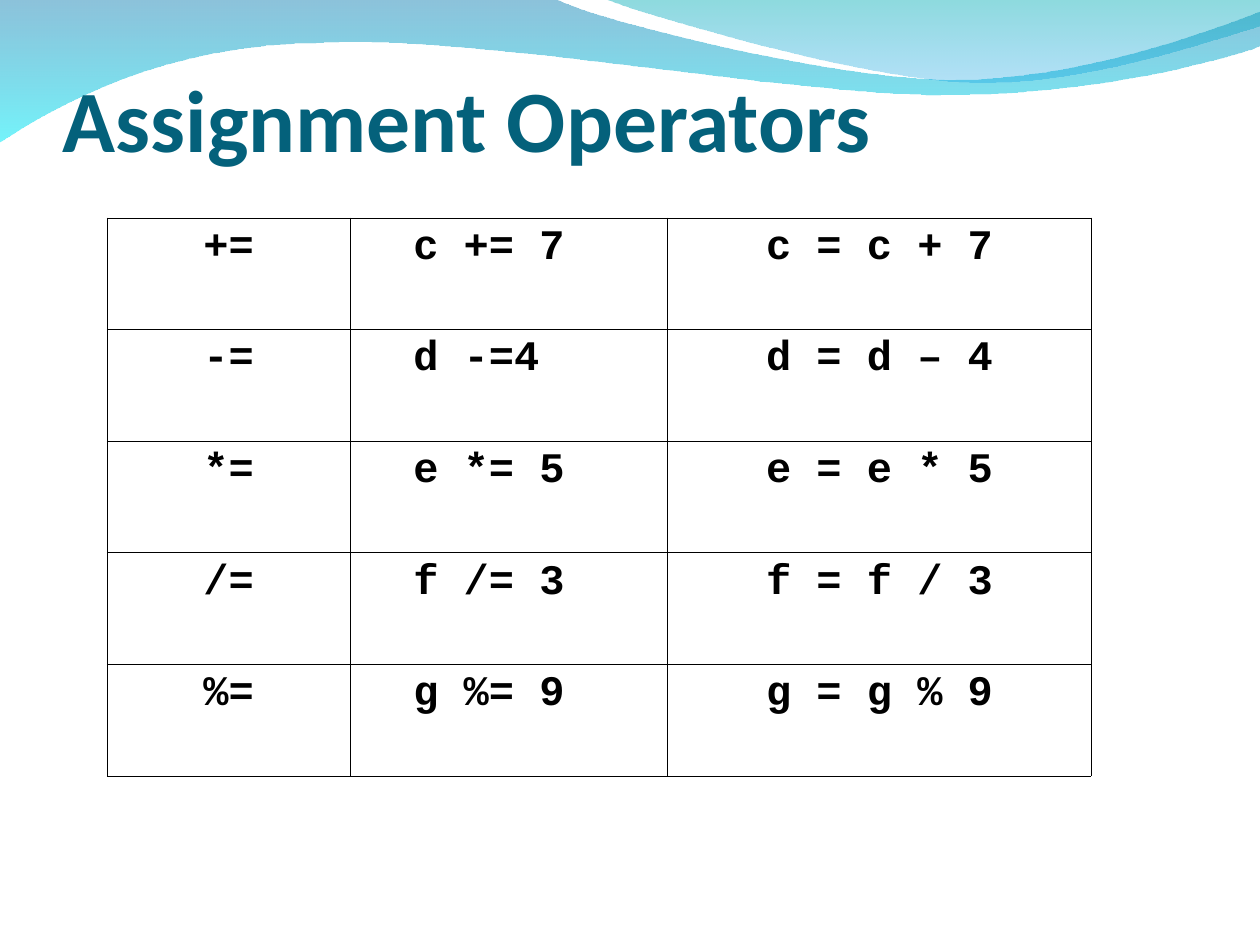
from itertools import chain

from lxml import etree
from pptx import Presentation
from pptx import util as u
from pptx.dml.color import RGBColor
from pptx.enum import text
from pptx.oxml.ns import qn

W, H = 10, 7.5
COLORS = {
    "title": "04617B", "ink": "000000",
    "deep": "0079AF", "aqua": "00EBF8", "teal": "00ADB6", "sky": "009BE5",
}
OPERATORS = [
    ("+=", "  c += 7", "c = c + 7"),
    ("-=", "  d -=4", "d = d – 4"),
    ("*=", "  e *= 5", "e = e * 5"),
    ("/=", "  f /= 3", "f = f / 3"),
    ("%=", "  g %= 9", "g = g % 9"),
]
COLUMN_WIDTHS = (1.93, 2.52, 3.36)
ROW_HEIGHT = 4.43 / len(OPERATORS)

# Hundredths of an inch; a step is one point (a line) or three (a Bézier curve).
LOWER_WAVE = [
    [(0, -1)], [(440, -1)],
    [(476, 17), (664, 63), (758, 63)],
    [(853, 63), (958, 26), (1000, 9)],
    [(1001, 36)],
    [(983, 44), (870, 76), (746, 75)],
    [(622, 75), (382, 28), (257, 34)],
    [(129, 35), (46, 83), (-1, 113)],
]
UPPER_WAVE = [
    [(479, -1)],
    [(509, 11), (682, 62), (769, 65)],
    [(856, 69), (961, 32), (1000, 21)],
    [(1000, 0)],
]


def rgb(name):
    return RGBColor.from_string(COLORS[name])


def bend(sp, steps):
    """Turn each run of three line segments that stands for a curve into one."""
    segments = iter(list(sp._element.iter(qn("a:lnTo"))))
    for step in steps:
        lines = [next(segments) for _ in step]
        if len(lines) == 3:
            curve = etree.Element(qn("a:cubicBezTo"))
            lines[0].addprevious(curve)
            for line in lines:
                curve.append(line[0])
                line.getparent().remove(line)


def add_wave(s, outline, stops):
    """Draw an outline filled downwards from (color, opacity %) stops."""
    start, *points = chain.from_iterable(outline)
    builder = s.shapes.build_freeform(*start, scale=u.Inches(1) / 100)
    builder.add_line_segments(points, close=True)
    sp = builder.convert_to_shape()
    bend(sp, outline[1:])
    sp.shadow.inherit = False
    sp.line.fill.background()
    sp.fill.gradient()
    sp.fill.gradient_angle = 270
    for stop, (color, _) in zip(sp.fill.gradient_stops, stops):
        stop.color.rgb = rgb(color)
    for clr, (_, opacity) in zip(sp._element.iter(qn("a:srgbClr")), stops):
        etree.SubElement(clr, qn("a:alpha"), val=str(opacity * 1000))


def style(p, font, size, color):
    p.font.name, p.font.size, p.font.bold = font, u.Pt(size), True
    p.font.color.rgb = rgb(color)


def add_title(s, title):
    box = s.shapes.add_textbox(u.Inches(0.05 * W), u.Inches(0.04 * H),
                               u.Inches(0.9 * W), u.Inches(0.14 * H))
    tf = box.text_frame
    tf.word_wrap = True
    tf.vertical_anchor = text.MSO_ANCHOR.BOTTOM
    tf.margin_left = tf.margin_right = tf.margin_bottom = 0
    p = tf.paragraphs[0]
    p.text = title
    style(p, "Calibri", 50, "title")


def set_borders(cell, width):
    tc_pr = cell._tc.get_or_add_tcPr()
    for i, side in enumerate("LRTB"):
        ln = etree.Element(qn(f"a:ln{side}"), w=str(u.Pt(width)))
        fill = etree.SubElement(ln, qn("a:solidFill"))
        etree.SubElement(fill, qn("a:srgbClr"), val=COLORS["ink"])
        tc_pr.insert(i, ln)


def fill_cell(cell, code, centred):
    cell.fill.background()
    set_borders(cell, 0.45)
    p = cell.text_frame.paragraphs[0]
    p.text = code
    p.alignment = text.PP_ALIGN.CENTER if centred else text.PP_ALIGN.LEFT
    style(p, "Courier New", 24, "ink")


def add_operator_table(s):
    table = s.shapes.add_table(
        len(OPERATORS), len(COLUMN_WIDTHS), u.Inches(0.85), u.Inches(1.73),
        u.Inches(sum(COLUMN_WIDTHS)), u.Inches(ROW_HEIGHT * len(OPERATORS))).table
    table.first_row = table.horz_banding = False
    for column, width in zip(table.columns, COLUMN_WIDTHS):
        column.width = u.Inches(width)
    for r, row in enumerate(OPERATORS):
        for c, code in enumerate(row):
            fill_cell(table.cell(r, c), code, centred=c != 1)


def main():
    prs = Presentation()
    prs.slide_width, prs.slide_height = u.Inches(W), u.Inches(H)
    s = prs.slides.add_slide(prs.slide_layouts[6])
    add_wave(s, LOWER_WAVE, [("deep", 45), ("aqua", 55)])
    add_wave(s, UPPER_WAVE, [("teal", 45), ("sky", 30)])
    add_title(s, "Assignment Operators")
    add_operator_table(s)
    prs.save("out.pptx")


if __name__ == "__main__":
    main()
